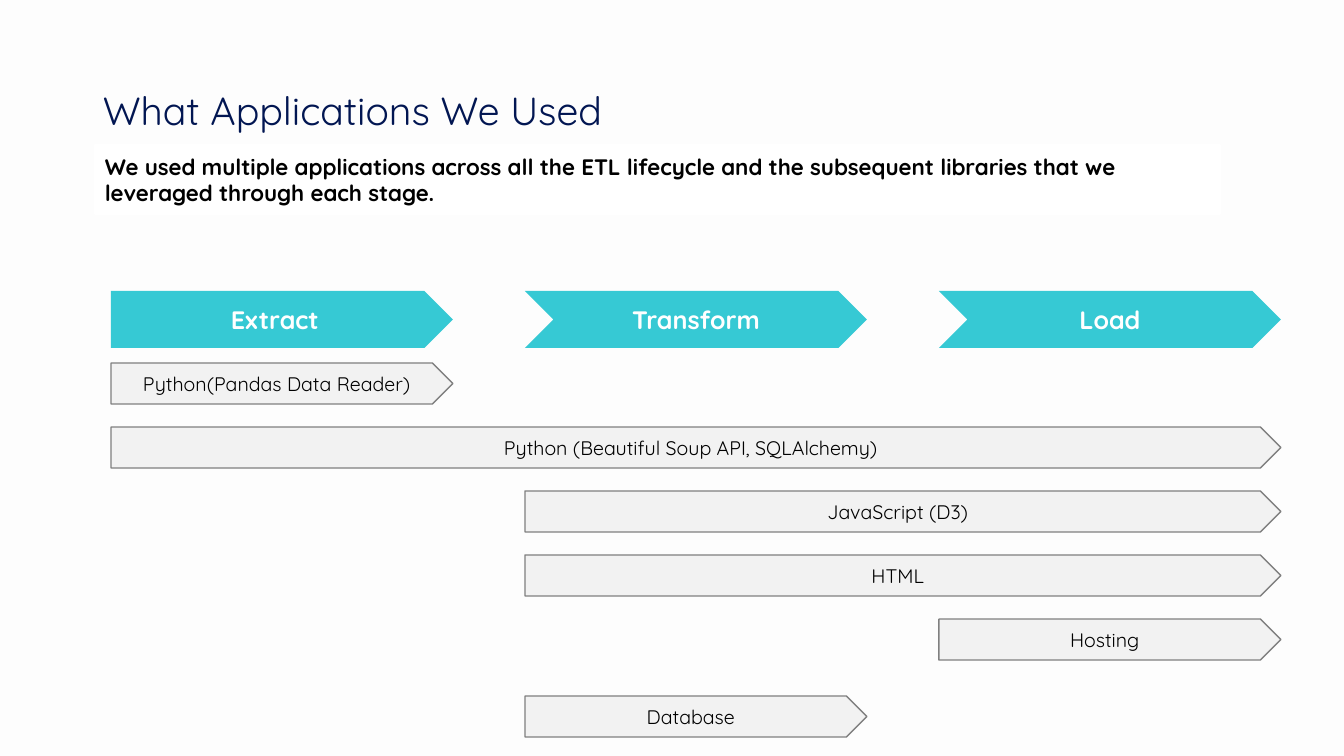
from pptx import Presentation
from pptx import util as u
from pptx.dml.color import RGBColor
from pptx.enum import shapes, text

PX = 914400 / 100.8
FONT = "Quicksand"
BACKGROUND = RGBColor(0xFD, 0xFD, 0xFD)
WHITE = RGBColor(0xFF, 0xFF, 0xFF)
BLACK = RGBColor(0x00, 0x00, 0x00)
NAVY = RGBColor(0x02, 0x16, 0x52)
TEAL = RGBColor(0x36, 0xC9, 0xD4)
PALE = RGBColor(0xF2, 0xF2, 0xF2)
GRAY = RGBColor(0x80, 0x80, 0x80)

LEFT, STEP, STAGE_W = 111, 414, 342
STAGE_TOP, STAGE_H = 291, 57
TOOL_TOP, TOOL_STEP, TOOL_H = 363, 64, 41
EXTRA_TOP = 696

STAGES = ["Extract", "Transform", "Load"]
# name, first stage, number of stages covered
TOOLS = [
    ("Python(Pandas Data Reader)", 0, 1),
    ("Python (Beautiful Soup API, SQLAlchemy)", 0, 3),
    ("JavaScript (D3)", 1, 2),
    ("HTML", 1, 2),
    ("Hosting", 2, 1),
]


def px(n):
    return u.Emu(round(n * PX))


def stage_span(first, count=1):
    """Left and width, in px, of a bar covering count stages."""
    return LEFT + first * STEP, STAGE_W + (count - 1) * STEP


def write(sp, words, align, **font):
    tf = sp.text_frame
    tf.word_wrap = True
    tf.vertical_anchor = text.MSO_ANCHOR.MIDDLE
    p = tf.paragraphs[0]
    p.alignment = align
    r = p.add_run()
    r.text = words
    r.font.color.rgb = font.pop("color")
    for name, value in {"name": FONT, **font}.items():
        setattr(r.font, name, value)
    return p


def add_block(s, kind, box, fill, line=None):
    sp = s.shapes.add_shape(kind, *map(px, box))
    sp.shadow.inherit = False
    sp.fill.solid()
    sp.fill.fore_color.rgb = fill
    if line is None:
        sp.line.fill.background()
    else:
        sp.line.color.rgb = line
        sp.line.width = u.Pt(1)
    return sp


def add_title(s, words):
    sp = s.shapes.add_textbox(*map(px, (93, 40, 1159, 146)))
    p = write(sp, words, text.PP_ALIGN.LEFT, size=u.Pt(28), color=NAVY)
    p.line_spacing = 0.9


def add_summary(s, words):
    sp = add_block(s, shapes.MSO_SHAPE.RECTANGLE, (95, 145, 1125, 69), WHITE, WHITE)
    write(sp, words, text.PP_ALIGN.LEFT, size=u.Pt(16), bold=True, color=BLACK)


def add_stage(s, index, name):
    kind = shapes.MSO_SHAPE.CHEVRON if index else shapes.MSO_SHAPE.PENTAGON
    left, width = stage_span(index)
    sp = add_block(s, kind, (left, STAGE_TOP, width, STAGE_H), TEAL)
    write(sp, name, text.PP_ALIGN.CENTER, size=u.Pt(18), bold=True, color=WHITE)


def add_tool(s, top, name, first, count):
    left, width = stage_span(first, count)
    sp = add_block(s, shapes.MSO_SHAPE.PENTAGON, (left, top, width, TOOL_H), PALE, GRAY)
    for side in ("left", "top", "right", "bottom"):
        setattr(sp.text_frame, f"margin_{side}", 0)
    write(sp, name, text.PP_ALIGN.CENTER, size=u.Pt(14), color=BLACK)


def main():
    prs = Presentation()
    prs.slide_width, prs.slide_height = px(1344), px(756)
    s = prs.slides.add_slide(prs.slide_layouts[6])
    s.background.fill.solid()
    s.background.fill.fore_color.rgb = BACKGROUND

    add_title(s, "What Applications We Used")
    add_summary(s, "We used multiple applications across all the ETL lifecycle and "
                   "the subsequent libraries that we leveraged through each stage.")
    for i, name in enumerate(STAGES):
        add_stage(s, i, name)
    for row, tool in enumerate(TOOLS):
        add_tool(s, TOOL_TOP + row * TOOL_STEP, *tool)
    add_tool(s, EXTRA_TOP, "Database", 1, 1)

    prs.save("out.pptx")


if __name__ == "__main__":
    main()
